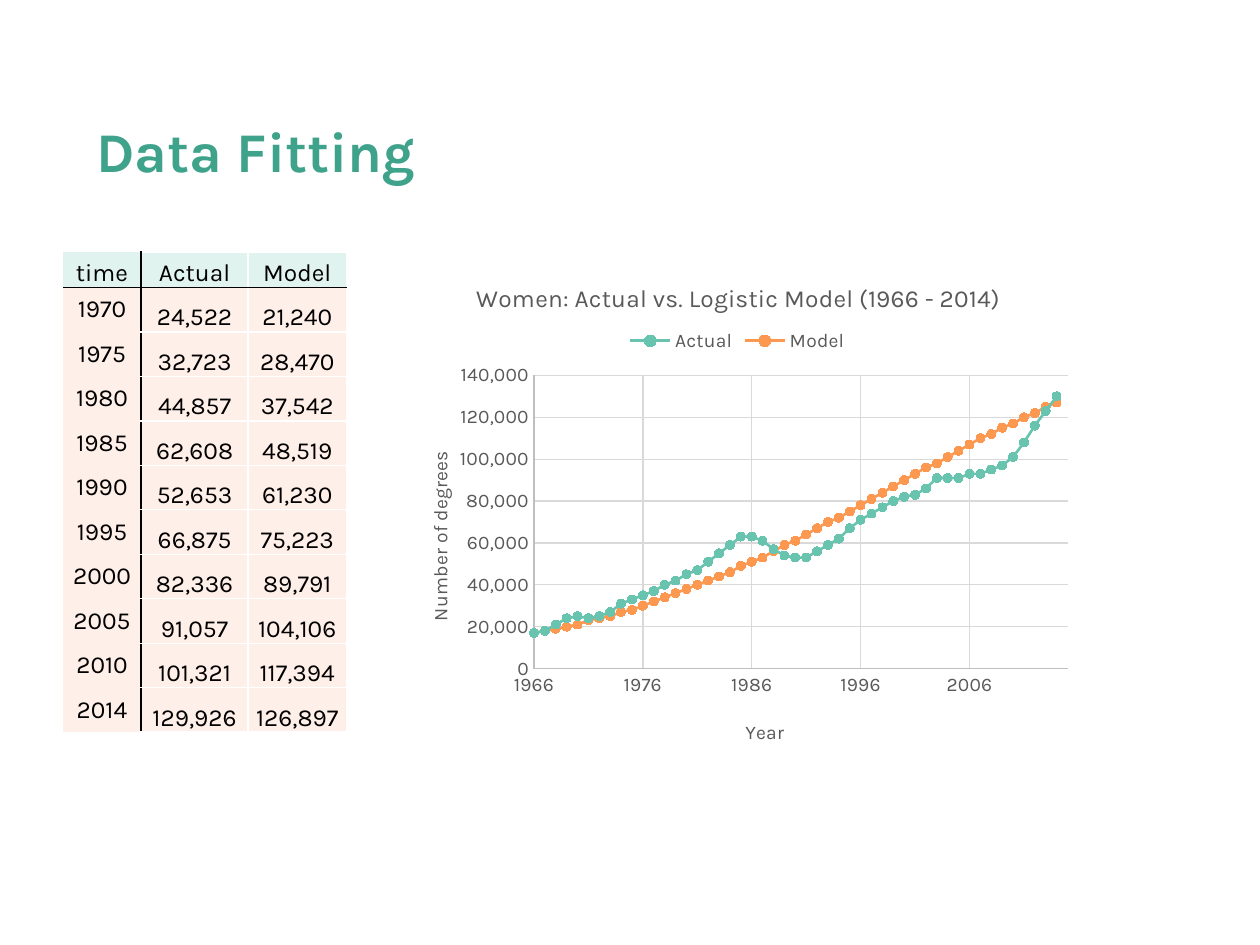
from dataclasses import dataclass
from typing import Any

from lxml import etree
from pptx import Presentation
from pptx import util as u
from pptx.chart import data as chart_data
from pptx.dml.color import RGBColor
from pptx.enum import chart as charts, text
from pptx.oxml import ns

GREEN = RGBColor(0x3F, 0xA2, 0x8B)
TEAL = RGBColor(0x68, 0xC4, 0xAF)
ORANGE = RGBColor(0xFD, 0x98, 0x50)
MINT = RGBColor(0xE1, 0xF3, 0xEF)
PEACH = RGBColor(0xFF, 0xEF, 0xE9)
BLACK = RGBColor(0, 0, 0)
WHITE = RGBColor(0xFF, 0xFF, 0xFF)
GRAY = RGBColor(0x59, 0x59, 0x59)
AXIS_GRAY = RGBColor(0xBF, 0xBF, 0xBF)
GRID_GRAY = RGBColor(0xD9, 0xD9, 0xD9)

TABLE_ROWS = [
    ("time", "Actual", "Model"),
    ("1970", "24,522", "21,240"),
    ("1975", "32,723", "28,470"),
    ("1980", "44,857", "37,542"),
    ("1985", "62,608", "48,519"),
    ("1990", "52,653", "61,230"),
    ("1995", "66,875", "75,223"),
    ("2000", "82,336", "89,791"),
    ("2005", "91,057", "104,106"),
    ("2010", "101,321", "117,394"),
    ("2014", "129,926", "126,897"),
]
FIRST_YEAR = 1966
THOUSANDS = {
    "Actual": [17, 18, 21, 24, 25, 24, 25, 27, 31, 33, 35, 37, 40, 42, 45, 47, 51,
               55, 59, 63, 63, 61, 57, 54, 53, 53, 56, 59, 62, 67, 71, 74, 77, 80,
               82, 83, 86, 91, 91, 91, 93, 93, 95, 97, 101, 108, 116, 123, 130],
    "Model": [17, 18, 19, 20, 21, 23, 24, 25, 27, 28, 30, 32, 34, 36, 38, 40, 42,
              44, 46, 49, 51, 53, 56, 59, 61, 64, 67, 70, 72, 75, 78, 81, 84, 87,
              90, 93, 96, 98, 101, 104, 107, 110, 112, 115, 117, 120, 122, 125, 127],
}
SERIES_COLORS = {"Actual": TEAL, "Model": ORANGE}


def assign(target, values):
    """Set each named attribute of the target."""
    for name, value in values.items():
        setattr(target, name, value)


def place(element, index, **shares):
    """Give a chart part a manual layout in shares of the chart."""
    for old in element.findall(ns.qn("c:layout")):
        element.remove(old)
    layout = etree.Element(ns.qn("c:layout"))
    manual = etree.SubElement(layout, ns.qn("c:manualLayout"))
    if "w" in shares:
        etree.SubElement(manual, ns.qn("c:layoutTarget"), val="inner")
    for name in "xy":
        etree.SubElement(manual, ns.qn(f"c:{name}Mode"), val="edge")
    for name, value in shares.items():
        etree.SubElement(manual, ns.qn(f"c:{name}"), val=str(value))
    element.insert(index, layout)


def set_border(cell, side, color):
    """Draw one cell edge, or hide it when there is no color."""
    properties = cell._tc.get_or_add_tcPr()
    line = etree.SubElement(properties, ns.qn(f"a:ln{side}"), w=str(u.Pt(1)))
    if color is None:
        etree.SubElement(line, ns.qn("a:noFill"))
    else:
        fill = etree.SubElement(line, ns.qn("a:solidFill"))
        etree.SubElement(fill, ns.qn("a:srgbClr"), val=str(color))


@dataclass
class SlideBuilder:
    """Hold the style and slide, measured on a grid of 120 columns and 90 rows."""

    presentation: Any
    slide: Any
    typeface: str = "Karla"

    def columns(self, count):
        """Convert grid columns to a length."""
        return round(self.presentation.slide_width * count / 120)

    def rows(self, count):
        """Convert grid rows to a length."""
        return round(self.presentation.slide_height * count / 90)

    def box(self, left, top, width, height):
        """Convert a grid box to a position and size."""
        return self.columns(left), self.rows(top), self.columns(width), self.rows(height)

    def style(self, font, size, color, bold=False):
        """Apply the typeface with a size and color."""
        assign(font, {"name": self.typeface, "size": u.Pt(size), "bold": bold})
        font.color.rgb = color

    def add_words(self, frame, words, size, color, bold=False):
        """Fill a text frame with one styled run."""
        paragraph = frame.paragraphs[0]
        run = paragraph.add_run()
        run.text = words
        self.style(run.font, size, color, bold)
        return paragraph

    def title(self, words, *box):
        """Add the slide heading."""
        frame = self.slide.shapes.add_textbox(*self.box(*box)).text_frame
        assign(frame, {"word_wrap": True, "vertical_anchor": text.MSO_ANCHOR.BOTTOM})
        self.add_words(frame, words, 32, GREEN, True).line_spacing = 0.8

    def table(self, records, widths, header_height, row_height, *box):
        """Add the table of actual and modelled values."""
        shape = self.slide.shapes.add_table(len(records), len(widths), *self.box(*box))
        table = shape.table
        assign(table, {"first_row": False, "horz_banding": False})
        for column, width in zip(table.columns, widths):
            column.width = self.columns(width)
        for row, record in enumerate(records):
            table.rows[row].height = self.rows(row_height if row else header_height)
            for column, words in enumerate(record):
                self.cell(table.cell(row, column), row, column, words)

    def cell(self, cell, row, column, words):
        """Style one cell by its place in the table."""
        plain = WHITE if column else None
        borders = {
            "L": BLACK if column == 1 else plain,
            "R": plain if column else BLACK,
            "T": BLACK if row == 1 else plain,
            "B": plain if row else BLACK,
        }
        for side, color in borders.items():
            set_border(cell, side, color)
        cell.fill.solid()
        cell.fill.fore_color.rgb = PEACH if row else MINT
        middle = row and not column
        assign(cell, {
            "margin_left": 0, "margin_right": 0, "margin_top": 0, "margin_bottom": 0,
            "vertical_anchor": text.MSO_ANCHOR.MIDDLE if middle else text.MSO_ANCHOR.BOTTOM,
        })
        paragraph = self.add_words(cell.text_frame, words, 14, BLACK)
        paragraph.alignment = text.PP_ALIGN.CENTER

    def axis(self, axis, words, scale, number_format):
        """Style one chart axis."""
        assign(axis, scale)
        assign(axis, {
            "has_major_gridlines": True,
            "major_tick_mark": charts.XL_TICK_MARK.NONE,
            "minor_tick_mark": charts.XL_TICK_MARK.NONE,
        })
        assign(axis.tick_labels, {"number_format": number_format,
                                  "number_format_is_linked": False})
        self.style(axis.tick_labels.font, 11, GRAY)
        for line, color in ((axis.format.line, AXIS_GRAY),
                            (axis.major_gridlines.format.line, GRID_GRAY)):
            line.color.rgb = color
            line.width = u.Pt(0.75)
        self.add_words(axis.axis_title.text_frame, words, 11, GRAY)

    def chart(self, words, *box):
        """Add the scatter chart of both series."""
        data = chart_data.XyChartData()
        for name, values in THOUSANDS.items():
            series = data.add_series(name)
            for year, value in enumerate(values, FIRST_YEAR):
                series.add_data_point(year, value * 1000)
        chart = self.slide.shapes.add_chart(
            charts.XL_CHART_TYPE.XY_SCATTER_LINES, *self.box(*box), data).chart
        self.style(chart.font, 11, BLACK)
        self.add_words(chart.chart_title.text_frame, words, 14, GRAY)
        chart.has_legend = True
        assign(chart.legend, {"position": charts.XL_LEGEND_POSITION.TOP,
                              "include_in_layout": False})
        self.style(chart.legend.font, 11, GRAY)
        horizontal, vertical = chart.category_axis, chart.value_axis
        self.axis(horizontal, "Year", {"minimum_scale": 1966, "maximum_scale": 2015,
                                       "major_unit": 10}, "0")
        self.axis(vertical, "Number of degrees",
                  {"minimum_scale": 0, "maximum_scale": 140000, "major_unit": 20000}, "#,##0")
        chart.plots[0].vary_by_categories = False
        for series in chart.plots[0].series:
            color = SERIES_COLORS[series.name]
            series.smooth = False
            assign(series.marker, {"style": charts.XL_MARKER_STYLE.CIRCLE, "size": 5})
            series.marker.format.fill.solid()
            series.marker.format.fill.fore_color.rgb = color
            series.format.line.width = u.Pt(1.5)
            for line in (series.format.line, series.marker.format.line):
                line.color.rgb = color
        vertical_title = vertical.axis_title.element
        vertical_title.find(".//" + ns.qn("a:bodyPr")).set("rot", "-5400000")
        place(chart.chart_title.element, 1, x=0.12, y=0.05)
        place(horizontal.axis_title.element, 1, x=0.51, y=0.9)
        place(vertical_title, 1, x=0.05, y=0.38)
        place(chart.element.find(".//" + ns.qn("c:legend")), 1, x=0.34, y=0.14)
        place(chart.element.find(".//" + ns.qn("c:plotArea")), 0, x=0.21, y=0.24, w=0.77, h=0.57)


def main():
    """Build and save the slide."""
    presentation = Presentation()
    assign(presentation, {"slide_width": u.Inches(10), "slide_height": u.Inches(7.5)})
    slide = presentation.slides.add_slide(presentation.slide_layouts[6])
    builder = SlideBuilder(presentation, slide)
    builder.title("Data Fitting", 8, 4, 85.5, 14)
    builder.table(TABLE_ROWS, (7.44, 10.2, 9.36), 3.36, 4.24, 6, 24, 27, 45.76)
    builder.chart("Women: Actual vs. Logistic Model (1966 - 2014)", 37, 24, 66, 49)
    presentation.save("out.pptx")


if __name__ == "__main__":
    main()
